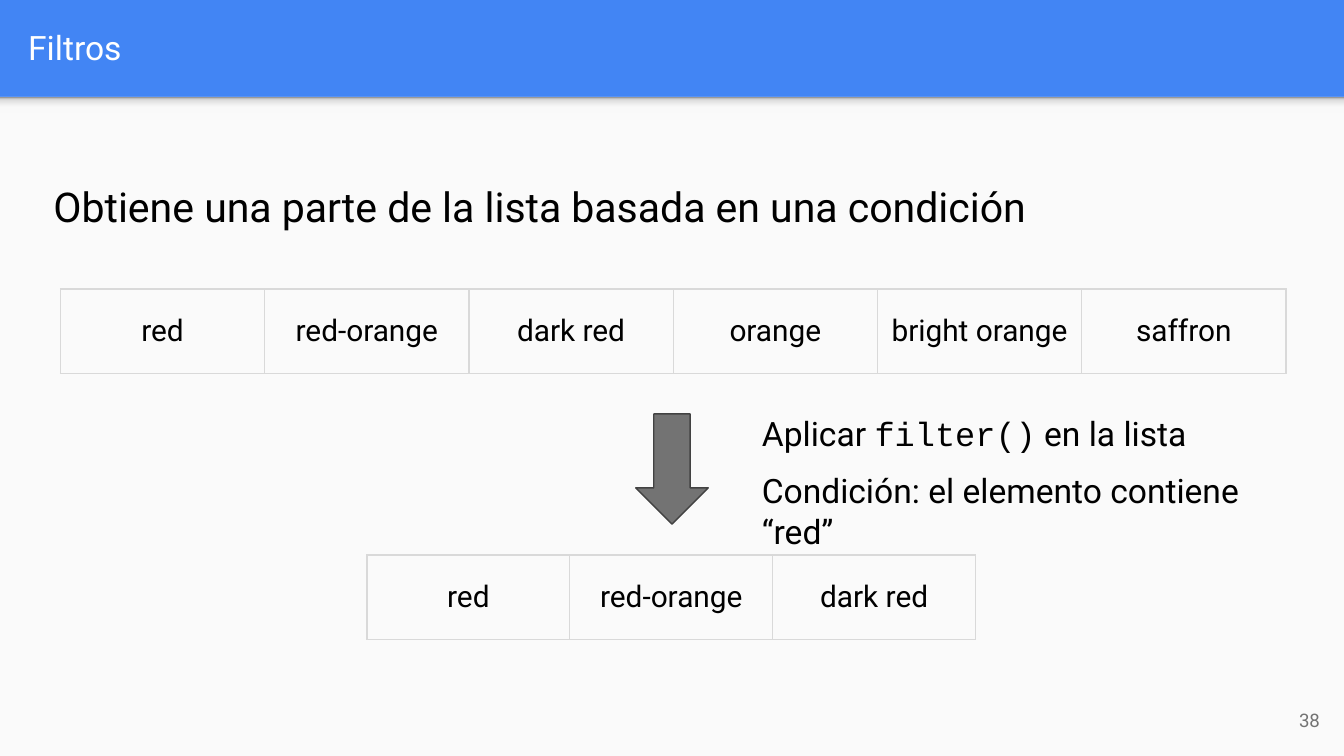
from lxml import etree
from pptx import Presentation
from pptx.dml.color import RGBColor
from pptx.enum.shapes import MSO_SHAPE as Shape
from pptx.enum.text import MSO_ANCHOR as Anchor, MSO_AUTO_SIZE as AutoSize, PP_ALIGN as Align
from pptx.oxml import parse_xml
from pptx.oxml.ns import nsdecls, qn
from pptx.util import Inches, Pt

BLUE = RGBColor(0x42, 0x85, 0xF4)
PAPER = RGBColor(0xFA, 0xFA, 0xFA)
WHITE = RGBColor(0xFF, 0xFF, 0xFF)
BLACK = RGBColor(0x00, 0x00, 0x00)
GRAY = RGBColor(0x73, 0x73, 0x73)
DARK_GRAY = RGBColor(0x42, 0x42, 0x42)
BORDER = RGBColor(0xD9, 0xD9, 0xD9)
SHADE_STOPS = [(0, "F9F9F9"), (36, "F9F9F9"), (80, "DEDEDE"), (100, "999999")]

prs = Presentation()
prs.slide_width = Inches(10)
prs.slide_height = prs.slide_width * 9 // 16
slide = prs.slides.add_slide(prs.slide_layouts[5])
slide.background.fill.solid()
slide.background.fill.fore_color.rgb = BLUE


def write(frame, runs, size, color=BLACK, align=Align.LEFT, anchor=Anchor.TOP):
    frame.word_wrap = True
    frame.auto_size = AutoSize.NONE
    frame.vertical_anchor = anchor
    frame.margin_left = frame.margin_right = Inches(0.1)
    frame.margin_top = frame.margin_bottom = Inches(0.1)
    paragraph = frame.paragraphs[0]
    paragraph.alignment = align
    for text, font_name in runs:
        run = paragraph.add_run()
        run.text = text
        run.font.name = font_name
        run.font.size = Pt(size)
        run.font.color.rgb = color


def add_list_table(words, left, top, col_width):
    height = Inches(0.63)
    table = slide.shapes.add_table(
        1, len(words), Inches(left), Inches(top), Inches(col_width * len(words)), height
    ).table
    table.first_row = table.horz_banding = False
    for column, word in enumerate(words):
        table.columns[column].width = Inches(col_width)
        cell = table.cell(0, column)
        cell.vertical_anchor = Anchor.MIDDLE
        cell.margin_left = cell.margin_right = Inches(0.1)
        cell.margin_top = cell.margin_bottom = Inches(0.1)
        paragraph = cell.text_frame.paragraphs[0]
        paragraph.alignment = Align.CENTER
        run = paragraph.add_run()
        run.text = word
        run.font.name = "Roboto"
        run.font.size = Pt(16)
        run.font.color.rgb = BLACK
        properties = cell._tc.get_or_add_tcPr()
        for side in ("a:lnL", "a:lnR", "a:lnT", "a:lnB"):
            edge = etree.SubElement(properties, qn(side), w=str(Pt(0.75)))
            edge_fill = etree.SubElement(edge, qn("a:solidFill"))
            etree.SubElement(edge_fill, qn("a:srgbClr"), val=str(BORDER))
        cell.fill.background()


page = slide.shapes.add_shape(Shape.RECTANGLE, 0, Inches(0.72), Inches(10), Inches(4.91))
page.shadow.inherit = False
page.fill.solid()
page.fill.fore_color.rgb = PAPER
page.line.fill.background()

header_shade = slide.shapes.add_shape(Shape.RECTANGLE, 0, Inches(0.72), Inches(10), Inches(0.12))
header_shade.shadow.inherit = False
header_shade.line.fill.background()
header_shade.fill.gradient()
gradient = header_shade._element.spPr.find(qn("a:gradFill"))
stops = "".join(
    f'<a:gs pos="{position * 1000}"><a:srgbClr val="{color}"/></a:gs>'
    for position, color in SHADE_STOPS
)
gradient.getparent().replace(gradient, parse_xml(
    f'<a:gradFill {nsdecls("a")}><a:gsLst>{stops}</a:gsLst><a:lin ang="16200000" scaled="0"/></a:gradFill>'
))

title = slide.shapes.title
title.left, title.top = Inches(0.11), Inches(0.02)
title.width, title.height = Inches(9.65), Inches(0.66)
write(title.text_frame, [("Filtros", "Roboto")], 18, WHITE, anchor=Anchor.MIDDLE)

page_number = slide.shapes.add_textbox(Inches(9.32), Inches(5.14), Inches(0.6), Inches(0.43))
write(page_number.text_frame, [("38", "Roboto")], 10, GRAY, Align.RIGHT, Anchor.MIDDLE)

definition = slide.shapes.add_textbox(Inches(0.3), Inches(1.25), Inches(9.53), Inches(0.54))
write(
    definition.text_frame,
    [("Obtiene una parte de la lista basada en una condición", "Roboto")],
    22,
)

colors = ["red", "red-orange", "dark red", "orange", "bright orange", "saffron"]
add_list_table(colors, 0.45, 2.15, 1.52)
add_list_table([color for color in colors if "red" in color], 2.73, 4.13, 1.51)

filter_arrow = slide.shapes.add_shape(
    Shape.DOWN_ARROW, Inches(4.73), Inches(3.08), Inches(0.54), Inches(0.82)
)
filter_arrow.shadow.inherit = False
filter_arrow.fill.solid()
filter_arrow.fill.fore_color.rgb = GRAY
filter_arrow.line.color.rgb = DARK_GRAY
filter_arrow.line.width = Pt(0.75)

action = slide.shapes.add_textbox(Inches(5.57), Inches(2.97), Inches(3.48), Inches(0.54))
write(
    action.text_frame,
    [("Aplicar ", "Roboto"), ("filter()", "Courier New"), (" en la lista", "Roboto")],
    18,
)

condition = slide.shapes.add_textbox(Inches(5.57), Inches(3.4), Inches(4.14), Inches(0.54))
write(condition.text_frame, [("Condición: el elemento contiene “red”", "Roboto")], 18)

prs.save("out.pptx")
